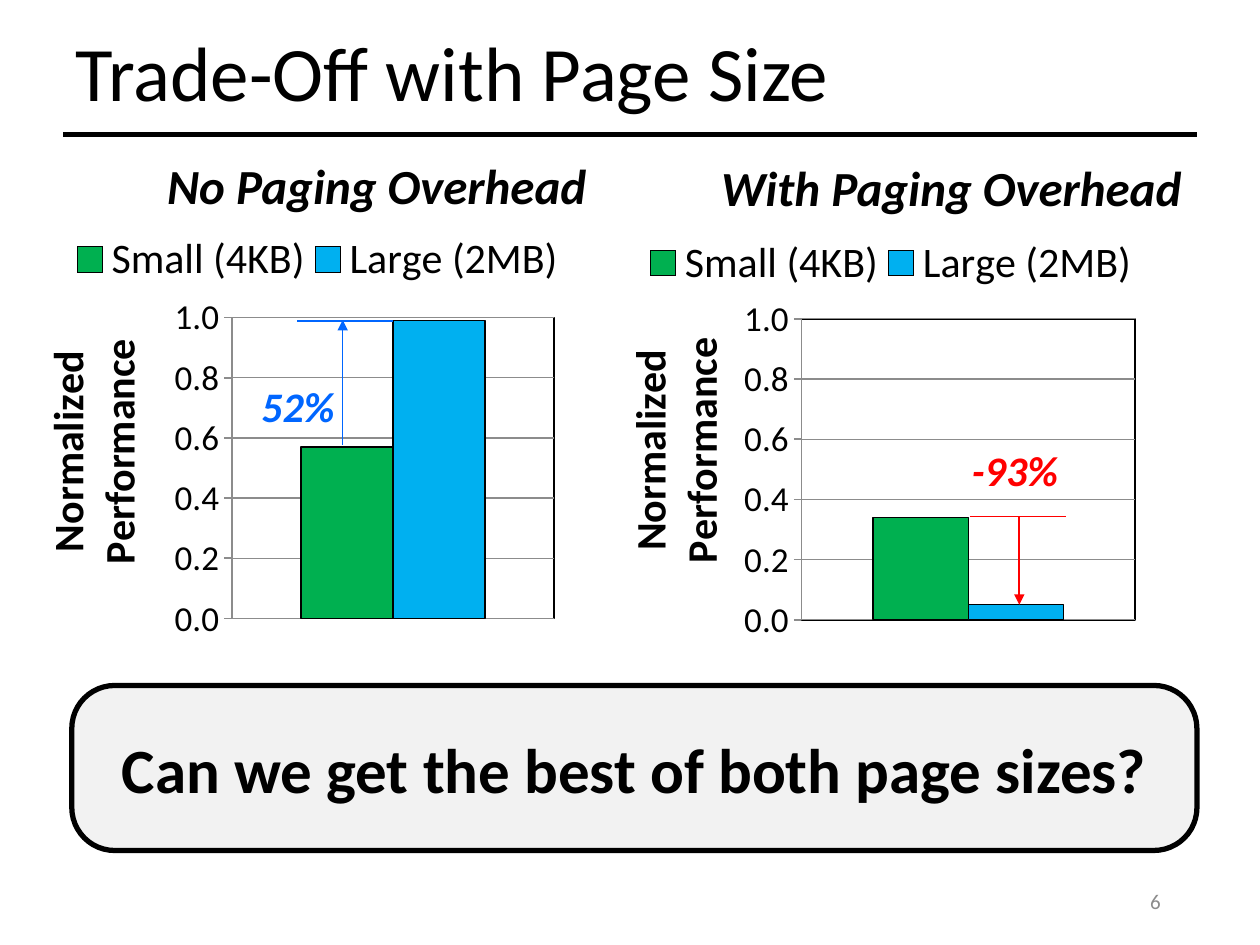
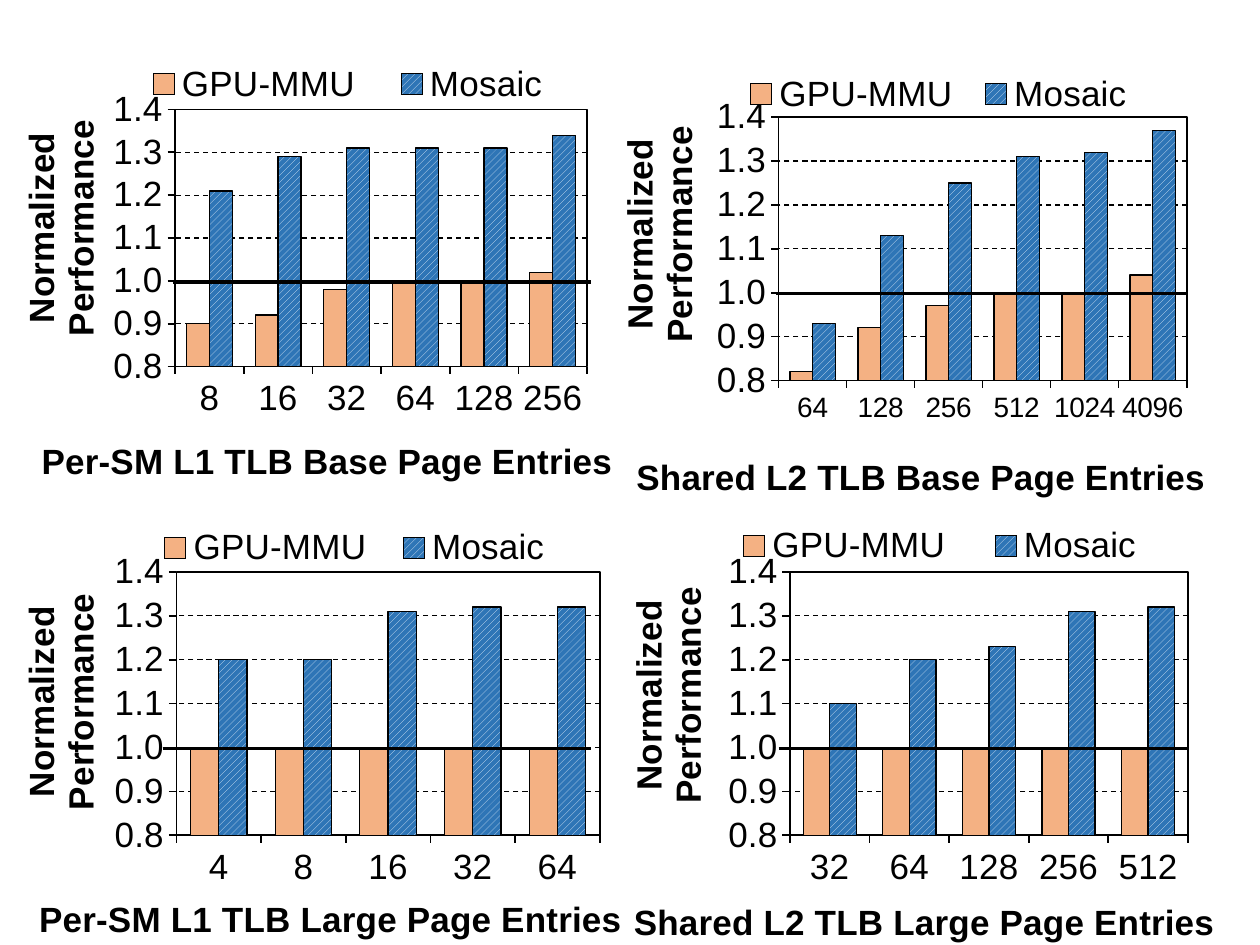
from dataclasses import dataclass
from typing import NamedTuple

from lxml import etree
from pptx import Presentation
from pptx import util as u
from pptx.chart.data import CategoryChartData
from pptx.dml.color import RGBColor
from pptx.enum import chart as ch, dml, shapes, text
from pptx.oxml.ns import qn

PX = 9144  # EMU per px, 100 px to the inch

BLACK = RGBColor(0, 0, 0)
WHITE = RGBColor(255, 255, 255)
GRAY = RGBColor(0x8C, 0x8C, 0x8C)
PALE = RGBColor(0xF2, 0xF2, 0xF2)
GREEN = RGBColor(0, 0xB0, 0x50)
SKY = RGBColor(0, 0xB0, 0xF0)
RED = RGBColor(255, 0, 0)
BLUE = RGBColor(0, 0x66, 0xFF)
PEACH = RGBColor(0xF4, 0xB1, 0x83)
STEEL = RGBColor(0x2E, 0x75, 0xB6)
ICE = RGBColor(0xDE, 0xEB, 0xF7)

LEFT, MID, RIGHT = text.PP_ALIGN.LEFT, text.PP_ALIGN.CENTER, text.PP_ALIGN.RIGHT
YNAME = "Normalized\nPerformance"


class Box(NamedTuple):
    x: int
    y: int
    w: int
    h: int


class Spot(NamedTuple):
    x: int
    y: int


class Line(NamedTuple):
    start: Spot
    end: Spot
    color: RGBColor
    width: float
    arrow: bool = False


class Label(NamedTuple):
    words: str
    box: Box
    size: int
    color: RGBColor = BLACK
    align: text.PP_ALIGN = MID
    bold: bool = True
    slant: bool = True
    wrap: bool = False


@dataclass(frozen=True)
class Style:
    """What the charts of one slide have in common."""
    font: str
    names: tuple[str, str]
    fills: tuple[RGBColor, RGBColor]
    big: int
    tick: int
    low: float
    top: float
    step: float
    gap: int
    rule: RGBColor
    hatch: bool = False


@dataclass(frozen=True)
class Panel:
    """One chart; every place is measured on the slide."""
    box: Box
    plot: Box
    key: Box
    yspot: Spot
    cats: tuple[str, ...]
    first: tuple[float, ...]
    second: tuple[float, ...]
    xname: str = ""
    xspot: Spot = Spot(0, 0)
    small: int = 20


PAGING = Style("Calibri", ("Small (4KB)", "Large (2MB)"), (GREEN, SKY),
               24, 20, 0, 1, 0.2, 150, GRAY)
SWEEP = Style("Arial", ("GPU-MMU", "Mosaic"), (PEACH, STEEL),
              20, 20, 0.8, 1.4, 0.1, 100, BLACK, True)

COSTS = [
    Panel(Box(18, 178, 484, 363), Box(184, 252, 256, 239), Box(53, 184, 398, 44),
          Spot(30, 266), ("1",), (0.57,), (0.99,)),
    Panel(Box(457, 182, 622, 354), Box(636, 253, 265, 239), Box(508, 187, 398, 44),
          Spot(492, 265), ("1",), (0.34,), (0.05,)),
]

ONES = (1, 1, 1, 1, 1)
SWEEPS = [
    Panel(Box(231, -105, 1033, 746), Box(618, 93, 324, 209), Box(579, 55, 332, 40),
          Spot(488, 97), ("64", "128", "256", "512", "1024", "4096"),
          (0.82, 0.92, 0.97, 1, 1, 1.04), (0.93, 1.13, 1.25, 1.31, 1.32, 1.37),
          "Shared L2 TLB Base Page Entries", Spot(500, 356), 16),
    Panel(Box(-242, 49, 1033, 746), Box(139, 87, 327, 204), Box(94, 49, 364, 36),
          Spot(13, 92), ("8", "16", "32", "64", "128", "256"),
          (0.9, 0.92, 0.98, 1, 1, 1.02), (1.21, 1.29, 1.31, 1.31, 1.31, 1.34),
          "Per-SM L1 TLB Base Page Entries", Spot(28, 343)),
    Panel(Box(231, 256, 1033, 746), Box(627, 454, 316, 209), Box(560, 413, 372, 40),
          Spot(495, 463), ("32", "64", "128", "256", "512"),
          ONES, (1.1, 1.2, 1.23, 1.31, 1.32),
          "Shared L2 TLB Large Page Entries", Spot(498, 709)),
    Panel(Box(-236, 256, 1033, 746), Box(140, 454, 336, 209), Box(111, 415, 341, 40),
          Spot(13, 468), ("4", "8", "16", "32", "64"),
          ONES, (1.2, 1.2, 1.31, 1.32, 1.32),
          "Per-SM L1 TLB Large Page Entries", Spot(26, 707)),
]

HEADS = [
    Label("Trade-Off with Page Size", Box(50, 14, 900, 93), 44,
          align=LEFT, bold=False, slant=False, wrap=True),
    Label("6", Box(706, 695, 225, 40), 12, GRAY, RIGHT, False, False, True),
]
NOTES = [
    Label("No Paging Overhead", Box(121, 118, 356, 57), 28),
    Label("With Paging Overhead", Box(560, 120, 390, 57), 28),
    Label("-93%", Box(761, 348, 89, 50), 24, RED),
    Label("52%", Box(197, 297, 79, 50), 24, BLUE),
]
MARKS = [
    Line(Spot(809, 410), Spot(809, 480), RED, 1, True),
    Line(Spot(770, 410), Spot(846, 410), RED, 1),
    Line(Spot(272, 353), Spot(272, 254), BLUE, 0.5, True),
    Line(Spot(236, 255), Spot(312, 255), BLUE, 1),
]
BASES = [(137, 469, 224), (616, 942, 233), (129, 469, 594), (618, 942, 594)]


def emu(*nums: int) -> list[int]:
    return [n * PX for n in nums]


def ink(line, color: RGBColor, width: float) -> None:
    line.color.rgb = color
    line.width = u.Pt(width)


def write(frame, item: Label) -> None:
    frame.text = item.words
    frame.word_wrap = item.wrap
    frame.vertical_anchor = text.MSO_ANCHOR.MIDDLE
    para = frame.paragraphs[0]
    para.alignment = item.align
    font = para.runs[0].font
    font.name, font.size = "Calibri", u.Pt(item.size)
    font.bold, font.italic = item.bold, item.slant
    font.color.rgb = item.color


def add_label(slide, item: Label):
    frame = slide.shapes.add_textbox(*emu(*item.box)).text_frame
    write(frame, item)
    return frame


def add_line(slide, item: Line) -> None:
    link = slide.shapes.add_connector(
        shapes.MSO_CONNECTOR.STRAIGHT, *emu(*item.start, *item.end))
    ink(link.line, item.color, item.width)
    props = link.element.spPr
    if item.arrow:
        etree.SubElement(props.find(qn("a:ln")), qn("a:tailEnd"), type="triangle")
    etree.SubElement(props, qn("a:effectLst"))


def place(node, slot: int, box: Box, spot: tuple[int, ...], inner: bool = False) -> None:
    """Fix a chart part at a slide position, as shares of the chart's box."""
    old = node.find(qn("c:layout"))
    if old is not None:
        node.remove(old)
    layout = etree.Element(qn("c:layout"))
    node.insert(slot, layout)
    manual = etree.SubElement(layout, qn("c:manualLayout"))
    pairs = [("layoutTarget", "inner")] if inner else []
    pairs += [("xMode", "edge"), ("yMode", "edge")]
    shares = [(spot[0] - box.x) / box.w, (spot[1] - box.y) / box.h]
    if len(spot) == 4:
        shares += [spot[2] / box.w, spot[3] / box.h]
    pairs += [(name, f"{share:.4f}") for name, share in zip("xywh", shares)]
    for name, val in pairs:
        etree.SubElement(manual, qn(f"c:{name}"), val=val)


def name_axis(axis, words: str, size: int, box: Box, spot: Spot, turn: int) -> None:
    title = axis.axis_title
    title.text_frame.text = words
    for para in title.text_frame.paragraphs:
        para.font.size, para.font.bold = u.Pt(size), True
        for run in para.runs:
            run.font.size, run.font.bold = u.Pt(size), True
    body = next(title.element.iter(qn("a:bodyPr")))
    body.set("rot", str(turn * 60000))
    body.set("vert", "horz")
    place(title.element, 1, box, spot)


def frame_plot(area) -> None:
    props = etree.SubElement(area, qn("c:spPr"))
    etree.SubElement(props, qn("a:noFill"))
    line = etree.SubElement(props, qn("a:ln"), w=str(u.Pt(1)))
    fill = etree.SubElement(line, qn("a:solidFill"))
    etree.SubElement(fill, qn("a:srgbClr"), val=str(BLACK))


def add_panel(slide, item: Panel, style: Style) -> None:
    data = CategoryChartData()
    data.categories = item.cats
    for name, vals in zip(style.names, (item.first, item.second)):
        data.add_series(name, vals)
    chart = slide.shapes.add_chart(
        ch.XL_CHART_TYPE.COLUMN_CLUSTERED, *emu(*item.box), data).chart
    chart.has_title = False
    chart.font.name, chart.font.size = style.font, u.Pt(style.big)
    chart.font.color.rgb = BLACK

    plot = chart.plots[0]
    plot.gap_width, plot.vary_by_categories = style.gap, False
    for series, color in zip(plot.series, style.fills):
        fill = series.format.fill
        if style.hatch and color == STEEL:
            fill.patterned()
            fill.pattern = dml.MSO_PATTERN.WIDE_UPWARD_DIAGONAL
            fill.fore_color.rgb, fill.back_color.rgb = ICE, color
        else:
            fill.solid()
            fill.fore_color.rgb = color
        ink(series.format.line, BLACK, 0.75)

    side = chart.value_axis
    side.minimum_scale, side.maximum_scale = style.low, style.top
    side.major_unit = style.step
    side.major_tick_mark = ch.XL_TICK_MARK.OUTSIDE
    side.tick_labels.number_format = "#,##0.0"
    side.tick_labels.number_format_is_linked = False
    side.tick_labels.font.size = u.Pt(style.tick)
    ink(side.format.line, style.rule, 1)
    grid = side.major_gridlines.format.line
    ink(grid, style.rule, 0.75)
    if style.hatch:
        grid.dash_style = dml.MSO_LINE.DASH
    name_axis(side, YNAME, style.big, item.box, item.yspot, -90)

    base = chart.category_axis
    if item.xname:
        base.major_tick_mark = ch.XL_TICK_MARK.OUTSIDE
        base.tick_labels.font.size = u.Pt(item.small)
        ink(base.format.line, BLACK, 1)
        name_axis(base, item.xname, style.big, item.box, item.xspot, 0)
    else:
        base.visible = False

    chart.has_legend = True
    chart.legend.position = ch.XL_LEGEND_POSITION.TOP
    chart.legend.include_in_layout = False
    chart.legend.font.size = u.Pt(style.big)
    place(next(chart.element.iter(qn("c:legend"))), 1, item.box, item.key)
    area = next(chart.element.iter(qn("c:plotArea")))
    place(area, 0, item.box, item.plot, True)
    frame_plot(area)


def add_slide(deck):
    slide = deck.slides.add_slide(deck.slide_layouts[6])
    slide.background.fill.solid()
    slide.background.fill.fore_color.rgb = WHITE
    return slide


def draw_costs(deck) -> None:
    slide = add_slide(deck)
    title, _ = [add_label(slide, head) for head in HEADS]
    title.paragraphs[0].line_spacing = 0.9
    add_line(slide, Line(Spot(50, 107), Spot(950, 107), BLACK, 3))

    ask = Label("Can we get the best of both page sizes?",
                Box(57, 544, 893, 131), 36, slant=False, wrap=True)
    card = slide.shapes.add_shape(shapes.MSO_SHAPE.ROUNDED_RECTANGLE, *emu(*ask.box))
    card.adjustments[0] = 0.26
    card.shadow.inherit = False
    card.fill.solid()
    card.fill.fore_color.rgb = PALE
    ink(card.line, BLACK, 3)
    write(card.text_frame, ask)

    for item in COSTS:
        add_panel(slide, item, PAGING)
    for note in NOTES:
        add_label(slide, note)
    for mark in MARKS:
        add_line(slide, mark)


def draw_sweeps(deck) -> None:
    slide = add_slide(deck)
    for item in SWEEPS:
        add_panel(slide, item, SWEEP)
    for left, right, y in BASES:
        add_line(slide, Line(Spot(left, y), Spot(right, y), BLACK, 2))


def main() -> None:
    deck = Presentation()
    deck.slide_width, deck.slide_height = emu(1000, 750)
    draw_costs(deck)
    draw_sweeps(deck)
    deck.save("out.pptx")


if __name__ == "__main__":
    main()
